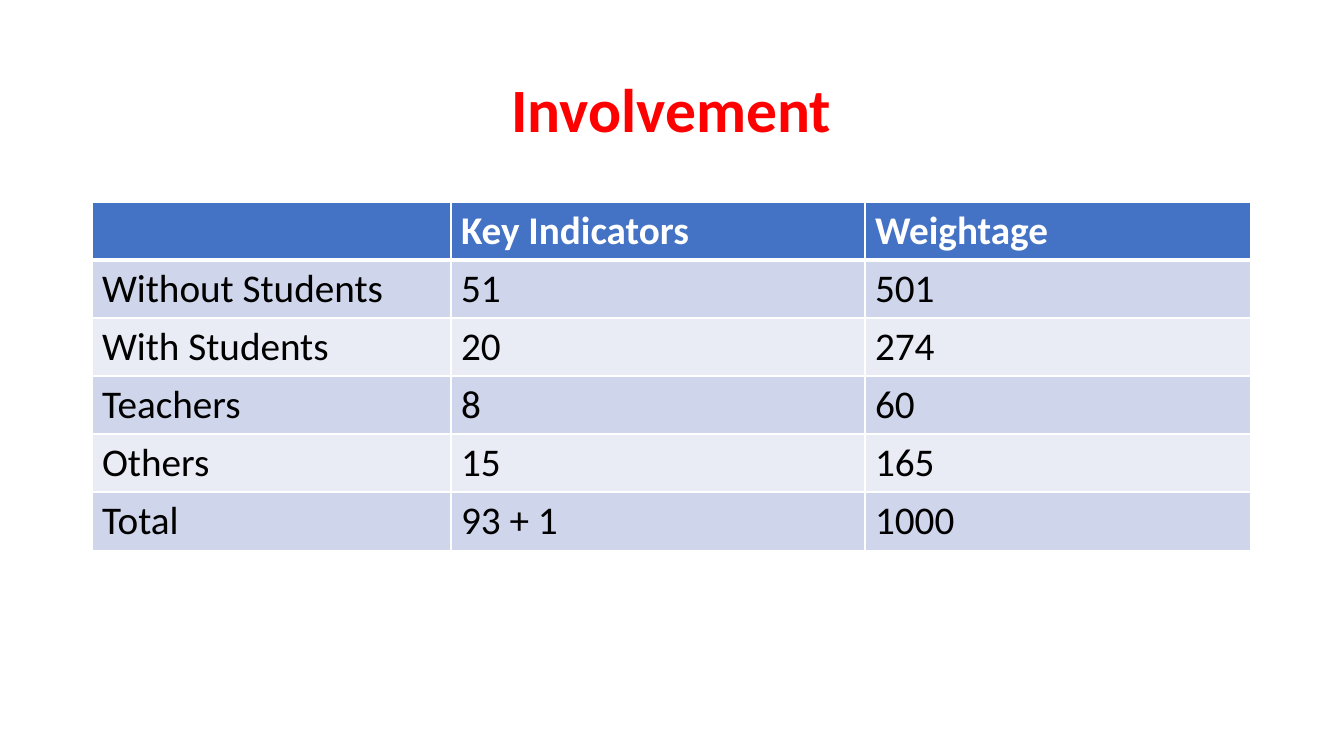
from lxml import etree
from pptx import Presentation
from pptx.dml.color import RGBColor
from pptx.enum.text import MSO_ANCHOR, PP_ALIGN
from pptx.oxml.ns import qn
from pptx.util import Pt

EMU_PER_PIXEL = 914400 / 100.8
CENTER = PP_ALIGN.CENTER
MIDDLE = MSO_ANCHOR.MIDDLE
TITLE_ONLY = 5

FONT = "Calibri"
WHITE = "FFFFFF"
BLACK = "000000"
RED = "FF0000"
HEADER_FILL = "4472C4"
BAND_FILLS = ("CFD5EA", "E9EBF5")

COLUMN_WIDTHS = (359, 414, 386)
ROW_HEIGHT = 58
INVOLVEMENT_ROWS = (
    ("", "Key Indicators", "Weightage"),
    ("Without Students", "51", "501"),
    ("With Students", "20", "274"),
    ("Teachers", "8", "60"),
    ("Others", "15", "165"),
    ("Total", "93 + 1", "1000"),
)


def px(pixels):
    return round(pixels * EMU_PER_PIXEL)


def color(hex_string):
    return RGBColor.from_string(hex_string)


def format_font(paragraph, size, hex_string, bold):
    font = paragraph.font
    font.name = FONT
    font.size = Pt(size)
    font.bold = bold
    font.color.rgb = color(hex_string)


def add_title(slide, text, left, top, width, height):
    title = slide.shapes.title
    title.left, title.top = px(left), px(top)
    title.width, title.height = px(width), px(height)
    title.text_frame.text = text
    title.text_frame.vertical_anchor = MIDDLE
    paragraph = title.text_frame.paragraphs[0]
    paragraph.alignment = CENTER
    paragraph.line_spacing = 0.9
    format_font(paragraph, 44, RED, True)


def add_borders(cell, top, bottom):
    properties = cell._tc.get_or_add_tcPr()
    for side, points in (("L", 1), ("R", 1), ("T", top), ("B", bottom)):
        line = etree.SubElement(properties, qn(f"a:ln{side}"), w=str(Pt(points)))
        fill = etree.SubElement(line, qn("a:solidFill"))
        etree.SubElement(fill, qn("a:srgbClr"), val=WHITE)


def fill_cell(cell, text, row_index):
    is_header = row_index == 0
    add_borders(cell, 3 if row_index == 1 else 1, 3 if is_header else 1)
    cell.fill.solid()
    cell.fill.fore_color.rgb = color(
        HEADER_FILL if is_header else BAND_FILLS[(row_index - 1) % 2])
    cell.text = text
    format_font(cell.text_frame.paragraphs[0], 28,
                WHITE if is_header else BLACK, is_header)


def add_table(slide, rows, left, top):
    frame = slide.shapes.add_table(
        len(rows), len(COLUMN_WIDTHS), px(left), px(top),
        px(sum(COLUMN_WIDTHS)), px(ROW_HEIGHT * len(rows)))
    table = frame.table
    for column, width in zip(table.columns, COLUMN_WIDTHS):
        column.width = px(width)
    for row_index, texts in enumerate(rows):
        table.rows[row_index].height = px(ROW_HEIGHT)
        for column_index, text in enumerate(texts):
            fill_cell(table.cell(row_index, column_index), text, row_index)


def main():
    presentation = Presentation()
    presentation.slide_width = px(1344)
    presentation.slide_height = px(756)
    slide = presentation.slides.add_slide(presentation.slide_layouts[TITLE_ONLY])
    add_title(slide, "Involvement", 92, 40, 1159, 146)
    add_table(slide, INVOLVEMENT_ROWS, 92, 202)
    presentation.save("out.pptx")


main()
